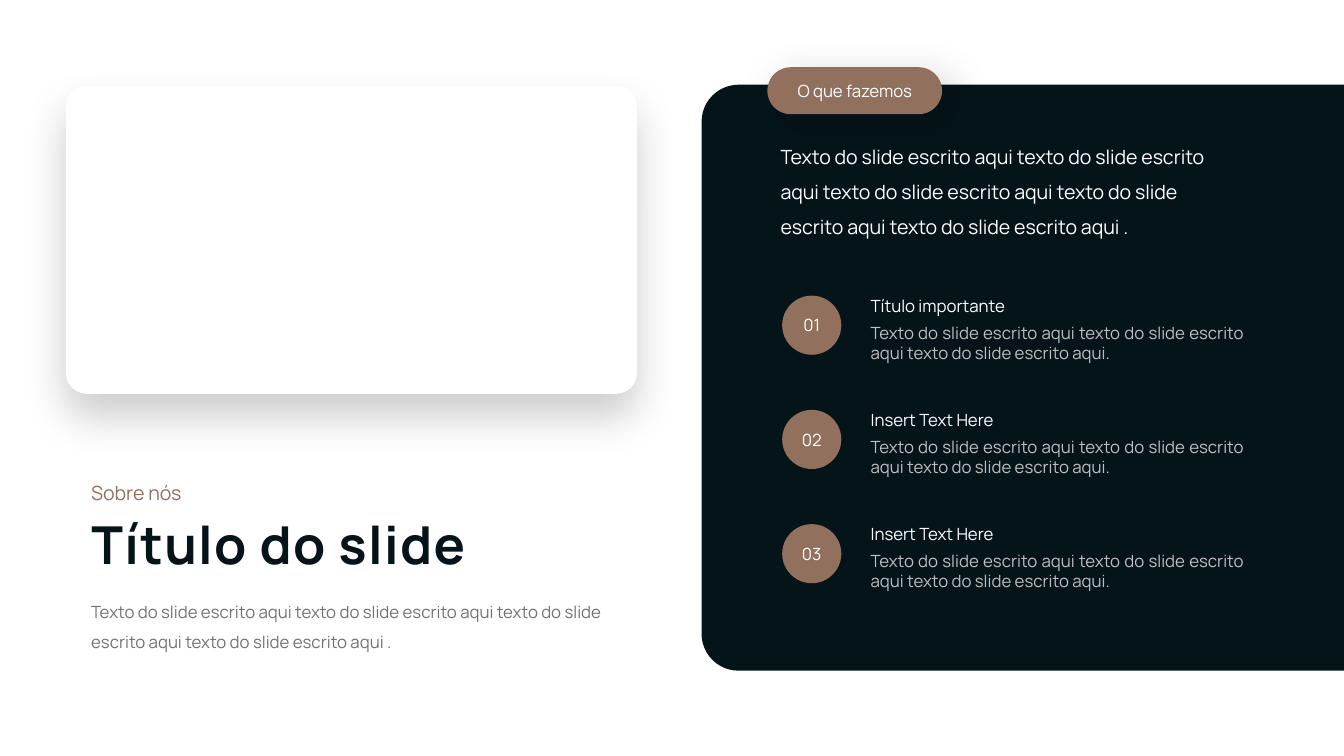
from lxml.etree import SubElement
from pptx import Presentation
from pptx.dml.color import RGBColor
from pptx.enum.shapes import MSO_SHAPE
from pptx.enum.text import MSO_ANCHOR, MSO_AUTO_SIZE, PP_ALIGN
from pptx.oxml.ns import qn
from pptx.util import Inches, Pt

DARK, BROWN, WHITE, GREY, LIGHT = "051419", "91705D", "FFFFFF", "767171", "BFBFBF"
PHRASE = "texto do slide escrito aqui"


def write(sp, text, size, color, align=PP_ALIGN.LEFT, spacing=None):
    tf = sp.text_frame
    tf.word_wrap = True
    tf.text = text
    p = tf.paragraphs[0]
    p.alignment = align
    p.line_spacing = spacing
    p.font.name = "Manrope"
    p.font.size = Pt(size)
    p.font.color.rgb = RGBColor.from_string(color)
    return p


def add_block(kind, box, color, shadow=None):
    sp = s.shapes.add_shape(kind, *map(Inches, box))
    sp.fill.solid()
    sp.fill.fore_color.rgb = RGBColor.from_string(color)
    sp.line.fill.background()
    sp.shadow.inherit = False
    if shadow:
        blur, dist, angle = shadow
        effects = sp._element.spPr.find(qn("a:effectLst"))
        outer = SubElement(effects, qn("a:outerShdw"), blurRad=str(Pt(blur)),
                           dist=str(Pt(dist)), dir=str(angle * 60000), algn="ctr", rotWithShape="0")
        clr = SubElement(outer, qn("a:srgbClr"), val="000000")
        SubElement(clr, qn("a:alpha"), val="20000")
    return sp


prs = Presentation()
prs.slide_width = Inches(10)
prs.slide_height = prs.slide_width * 9 // 16
s = prs.slides.add_slide(prs.slide_layouts[5])

panel = add_block(MSO_SHAPE.ROUND_2_SAME_RECTANGLE, (5.43, 0.42, 4.36, 4.78), DARK)
panel.adjustments[0] = 0.063
panel.rotation = 270

card = add_block(MSO_SHAPE.ROUNDED_RECTANGLE, (0.49, 0.64, 4.25, 2.29), WHITE, (23, 12, 90))
card.adjustments[0] = 0.068

title = s.shapes.title
title.left, title.top, title.width, title.height = map(Inches, (0.58, 3.76, 4.09, 0.57))
p = write(title, "Título do slide", 28, DARK)
p.font.bold = True
p.runs[0].font._element.set("spc", "75")
title.text_frame.vertical_anchor = MSO_ANCHOR.TOP
title.text_frame.auto_size = MSO_AUTO_SIZE.NONE

texts = [
    ((0.58, 3.44, 1.38, 0.34), "Sobre nós", 10.5, BROWN),
    ((0.58, 4.35, 4.24, 0.53), " ".join([PHRASE] * 4).capitalize() + " .", 9, GREY),
    ((5.71, 0.94, 3.64, 0.87), " ".join([PHRASE] * 5).capitalize() + " .", 10.5, WHITE),
]
for box, text, size, color in texts:
    write(s.shapes.add_textbox(*map(Inches, box)), text, size, color, spacing=1.5)

detail = " ".join([PHRASE] * 3).capitalize() + "."
for i, heading in enumerate(["Título importante", "Insert Text Here", "Insert Text Here"]):
    top = 2.15 + 0.85 * i
    badge = add_block(MSO_SHAPE.OVAL, (5.82, top + 0.05, 0.44, 0.44), BROWN)
    write(badge, f"{i + 1:02}", 9, WHITE, PP_ALIGN.CENTER)
    tf = badge.text_frame
    tf.margin_left = tf.margin_right = tf.margin_top = tf.margin_bottom = 0
    write(s.shapes.add_textbox(*map(Inches, (6.38, top, 1.77, 0.25))), heading, 9, WHITE)
    write(s.shapes.add_textbox(*map(Inches, (6.38, top + 0.2, 2.97, 0.4))), detail, 9, LIGHT,
          PP_ALIGN.JUSTIFY)

pill = add_block(MSO_SHAPE.ROUNDED_RECTANGLE, (5.71, 0.5, 1.3, 0.35), BROWN, (23, 8, 45))
pill.adjustments[0] = 0.5
write(pill, "O que fazemos", 9, WHITE, PP_ALIGN.CENTER)

prs.save("out.pptx")
